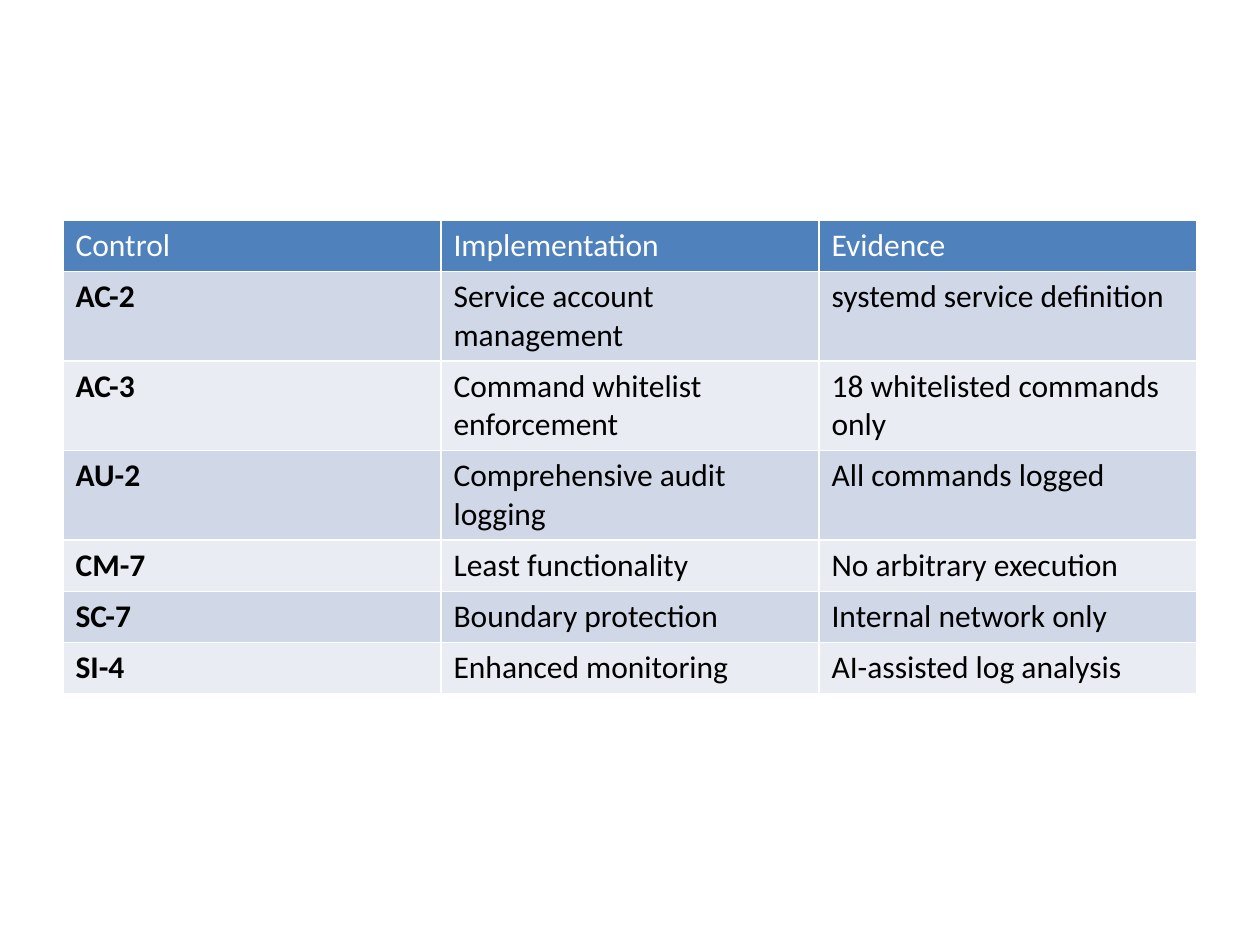
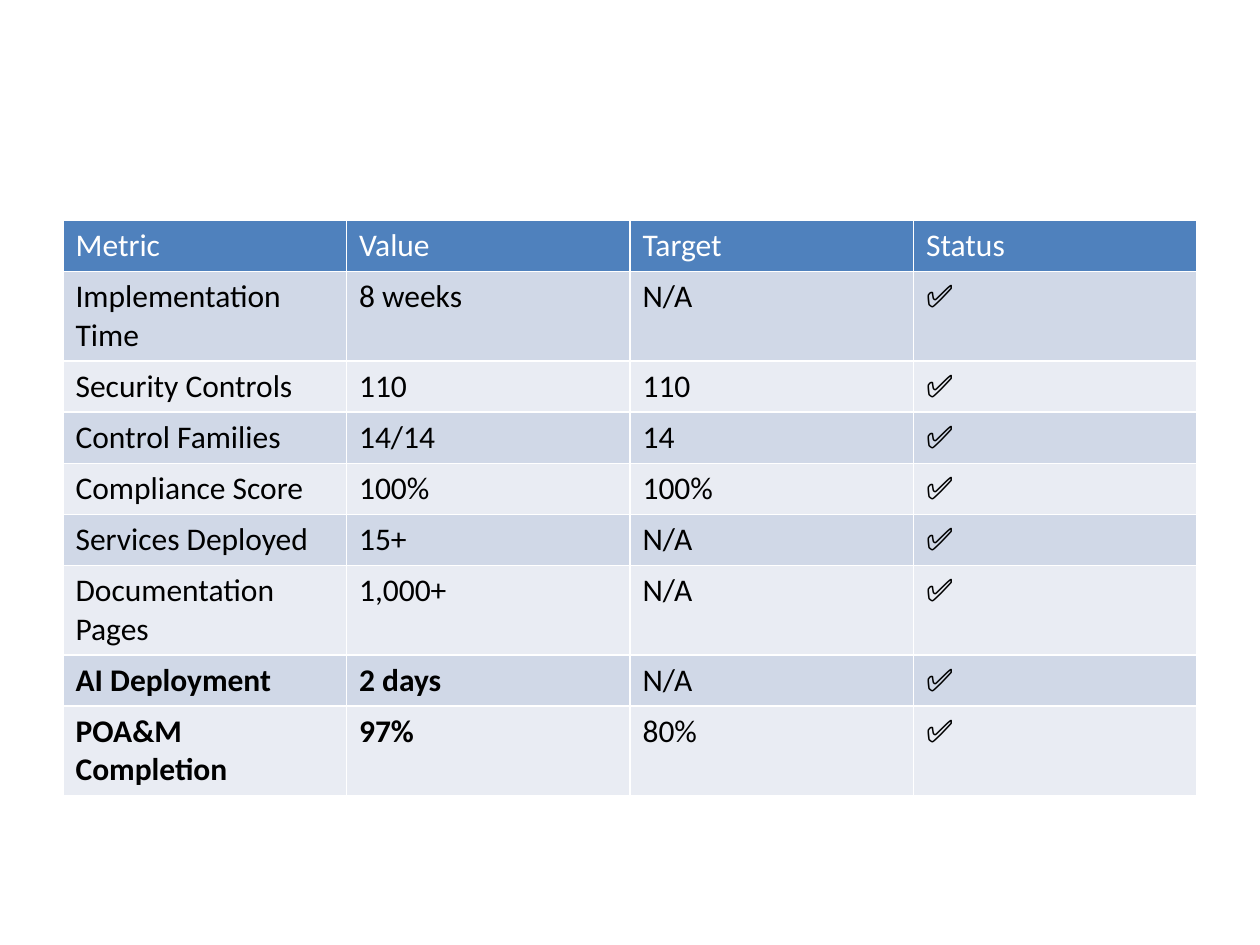
"""Build two table slides: security controls with evidence, and project metrics."""
from lxml.etree import SubElement
from pptx import Presentation
from pptx.dml.color import RGBColor
from pptx.oxml.ns import qn
from pptx.util import Inches, Pt

COLOURS = {
    "header": "4F81BD",
    "odd_row": "D0D8E7",
    "even_row": "E9ECF3",
    "rule": "FFFFFF",
    "header_text": "FFFFFF",
    "body_text": "000000",
}
CELL_FONT = {"name": "Calibri", "size": Pt(18)}
SLIDE_WIDTH, SLIDE_HEIGHT = 10, 7.5
MARGIN, TABLE_TOP = 0.5, 1.75
ONE_LINE, TWO_LINES = 0.4, 0.7
RULE_WIDTH = Pt(1)

CONTROLS = [
    ("Control", "Implementation", "Evidence"),
    ("AC-2", "Service account management", "systemd service definition"),
    ("AC-3", "Command whitelist enforcement", "18 whitelisted commands only"),
    ("AU-2", "Comprehensive audit logging", "All commands logged"),
    ("CM-7", "Least functionality", "No arbitrary execution"),
    ("SC-7", "Boundary protection", "Internal network only"),
    ("SI-4", "Enhanced monitoring", "AI-assisted log analysis"),
]
METRICS = [
    ("Metric", "Value", "Target", "Status"),
    ("Implementation Time", "8 weeks", "N/A", "✅"),
    ("Security Controls", "110", "110", "✅"),
    ("Control Families", "14/14", "14", "✅"),
    ("Compliance Score", "100%", "100%", "✅"),
    ("Services Deployed", "15+", "N/A", "✅"),
    ("Documentation Pages", "1,000+", "N/A", "✅"),
    ("AI Deployment", "2 days", "N/A", "✅"),
    ("POA&M Completion", "97%", "80%", "✅"),
]
CONTROL_IDS = {(row, 0) for row in range(1, len(CONTROLS))}
KEY_RESULTS = {(row, column) for row in (7, 8) for column in (0, 1)}


def rule_cell(cell):
    """Draw a thin rule on all four sides of a cell."""
    properties = cell._tc.get_or_add_tcPr()
    for side in ("a:lnL", "a:lnR", "a:lnT", "a:lnB"):
        rule = SubElement(properties, qn(side), w=str(RULE_WIDTH))
        fill = SubElement(rule, qn("a:solidFill"))
        SubElement(fill, qn("a:srgbClr"), val=COLOURS["rule"])


def fill_cell(cell, text, fill, text_colour, bold):
    """Write, colour and rule one cell."""
    rule_cell(cell)
    cell.fill.solid()
    cell.fill.fore_color.rgb = RGBColor.from_string(COLOURS[fill])
    cell.text = text
    font = cell.text_frame.paragraphs[0].runs[0].font
    for attribute, value in {**CELL_FONT, "bold": bold}.items():
        setattr(font, attribute, value)
    font.color.rgb = RGBColor.from_string(COLOURS[text_colour])


def add_table_slide(deck, records, two_line_rows, bold_cells):
    """Add a slide with one banded table of equal columns."""
    slide = deck.slides.add_slide(deck.slide_layouts[6])
    heights = [TWO_LINES if row in two_line_rows else ONE_LINE
               for row in range(len(records))]
    table = slide.shapes.add_table(
        len(records), len(records[0]), Inches(MARGIN), Inches(TABLE_TOP),
        Inches(SLIDE_WIDTH - 2 * MARGIN), Inches(sum(heights))).table
    for row, (record, height) in enumerate(zip(records, heights)):
        table.rows[row].height = Inches(height)
        band = "odd_row" if row % 2 else "even_row"
        fill, text_colour = (band, "body_text") if row else ("header", "header_text")
        for column, text in enumerate(record):
            fill_cell(table.cell(row, column), text, fill, text_colour,
                      (row, column) in bold_cells)


def main():
    """Build and save the deck."""
    deck = Presentation()
    deck.slide_width, deck.slide_height = Inches(SLIDE_WIDTH), Inches(SLIDE_HEIGHT)
    add_table_slide(deck, CONTROLS, {1, 2, 3}, CONTROL_IDS)
    add_table_slide(deck, METRICS, {1, 6, 8}, KEY_RESULTS)
    deck.save("out.pptx")


if __name__ == "__main__":
    main()
